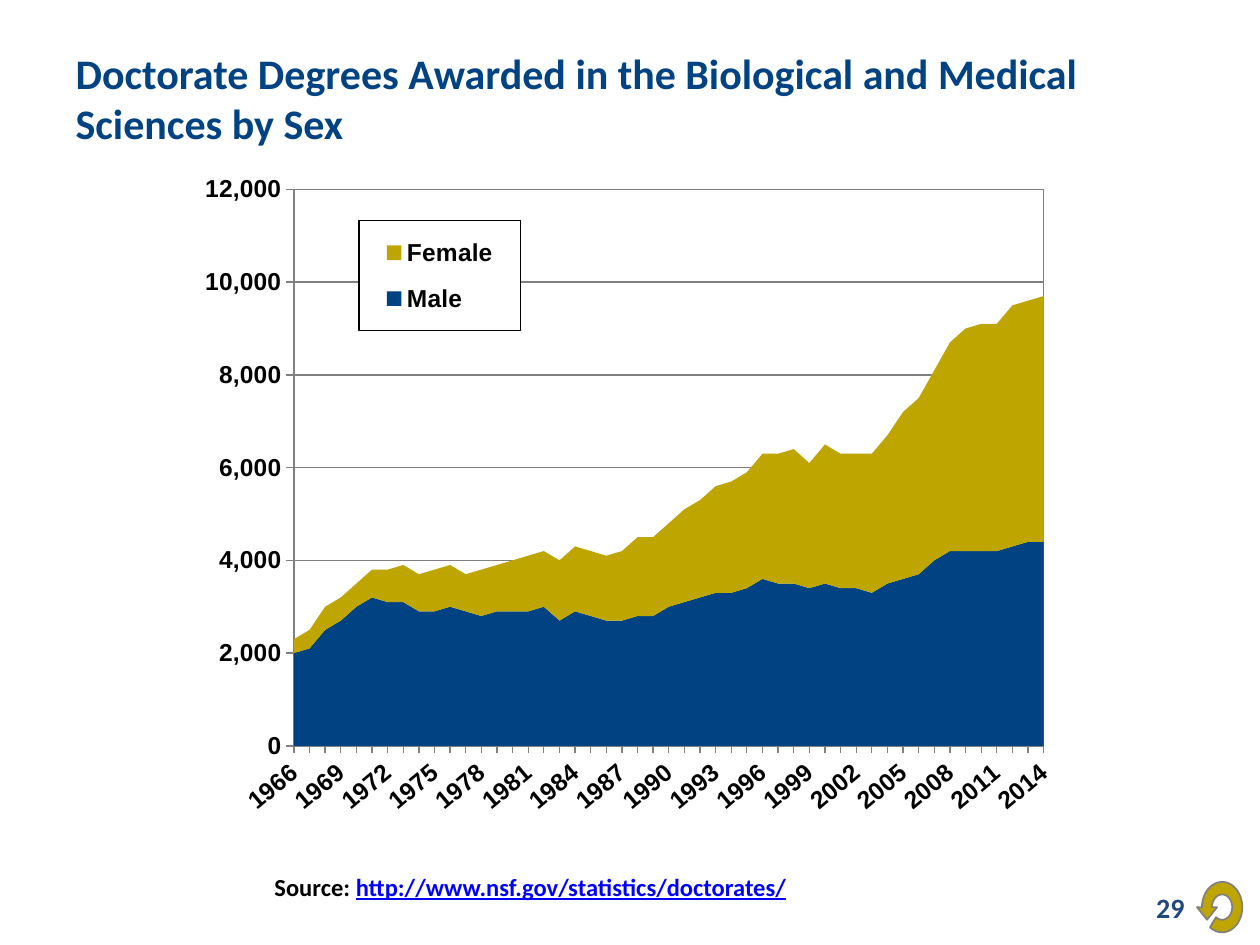
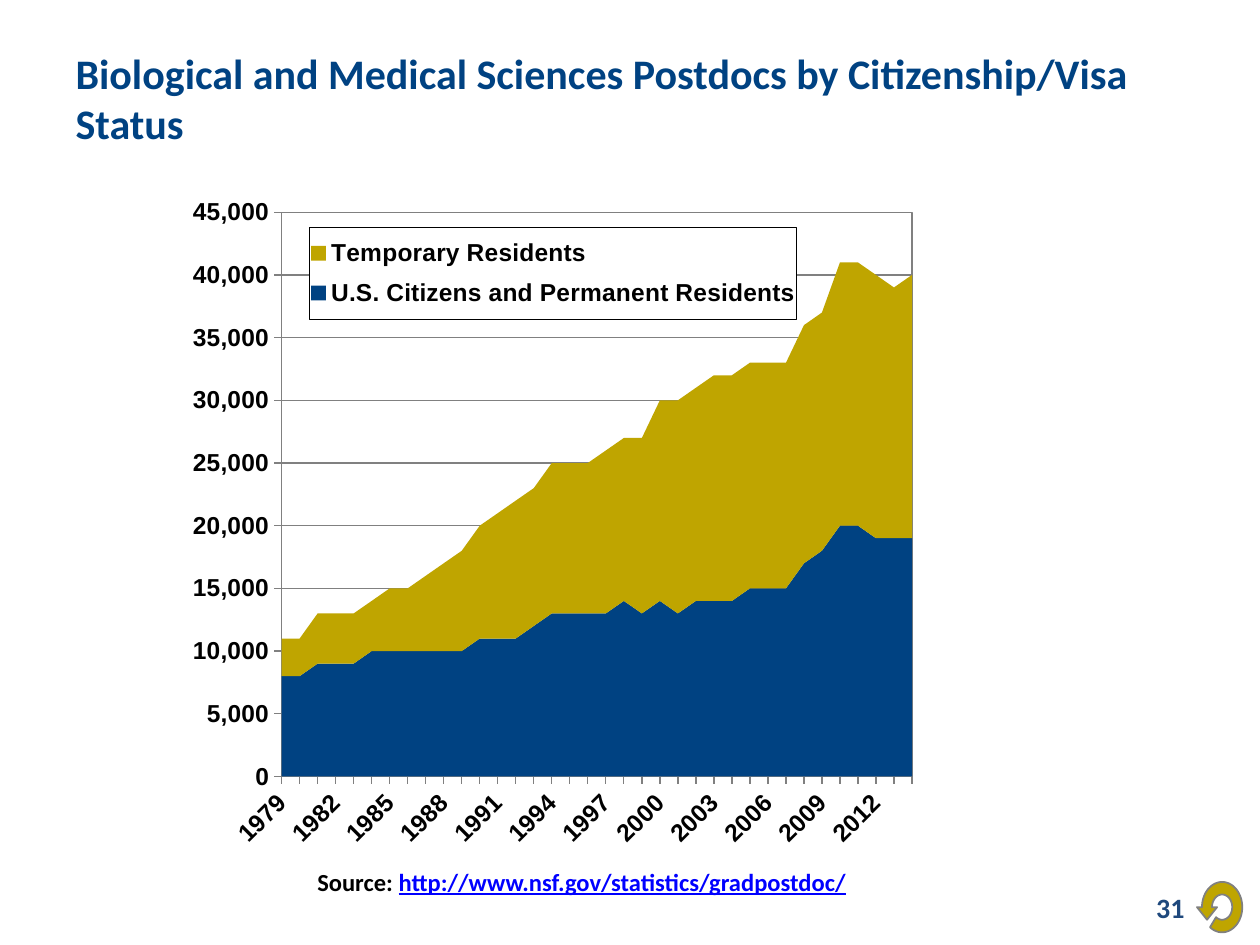
import math
from dataclasses import dataclass

import pptx
import pptx.chart.data
import pptx.dml.color
import pptx.enum.chart
import pptx.enum.text
import pptx.oxml
import pptx.oxml.ns
import pptx.util

Pt = pptx.util.Pt
RGBColor = pptx.dml.color.RGBColor


@dataclass(frozen=True)
class Theme:
    """Colours, fonts and type sizes of the deck."""
    navy: str = "004282"
    gold: str = "BFA500"
    gray: str = "808080"
    black: str = "000000"
    link: str = "0000FF"
    number: str = "1F497D"
    text_font: str = "Calibri"
    chart_font: str = "Arial"
    title_size: int = 24
    number_size: int = 16
    small_size: int = 14


THEME = Theme()
CHART_NAMESPACE = pptx.oxml.ns.nsdecls("c", "a")

SLIDES = [
    dict(
        title="Doctorate Degrees Awarded in the Biological and Medical Sciences by Sex",
        number="29",
        address="http://www.nsf.gov/statistics/doctorates/",
        source_box=(149.76, 494.64, 635.76, 24.48),
        chart_box=(113.76, 95.76, 516.24, 390.24),
        plot=(0.105, 0.032, 0.83, 0.815),
        legend=(0.177, 0.078, 0.179, 0.161),
        label_angle=-40,
        maximum=12000, step=2000,
        years=range(1966, 2015),
        unit=100,
        series={
            "Male": [20, 21, 25, 27, 30, 32, 31, 31, 29, 29, 30, 29, 28, 29, 29, 29, 30,
                     27, 29, 28, 27, 27, 28, 28, 30, 31, 32, 33, 33, 34, 36, 35, 35, 34,
                     35, 34, 34, 33, 35, 36, 37, 40, 42, 42, 42, 42, 43, 44, 44],
            "Female": [3, 4, 5, 5, 5, 6, 7, 8, 8, 9, 9, 8, 10, 10, 11, 12, 12,
                       13, 14, 14, 14, 15, 17, 17, 18, 20, 21, 23, 24, 25, 27, 28, 29, 27,
                       30, 29, 29, 30, 32, 36, 38, 41, 45, 48, 49, 49, 52, 52, 53],
        },
    ),
    dict(
        title="Biological and Medical Sciences Postdocs by Citizenship/Visa Status",
        number="31",
        address="http://www.nsf.gov/statistics/gradpostdoc/",
        source_box=(174.24, 491.76, 635.76, 24.48),
        chart_box=(95.76, 105.84, 732.24, 386.64),
        plot=(0.089, 0.04, 0.492, 0.834),
        legend=(0.111, 0.062, 0.38, 0.136),
        label_angle=-45,
        maximum=45000, step=5000,
        years=range(1979, 2015),
        unit=1000,
        series={
            "U.S. Citizens and Permanent Residents": [
                8, 8, 9, 9, 9, 10, 10, 10, 10, 10, 10, 11, 11, 11, 12, 13, 13, 13,
                13, 14, 13, 14, 13, 14, 14, 14, 15, 15, 15, 17, 18, 20, 20, 19, 19, 19],
            "Temporary Residents": [
                3, 3, 4, 4, 4, 4, 5, 5, 6, 7, 8, 9, 10, 11, 11, 12, 12, 12,
                13, 13, 14, 16, 17, 17, 18, 18, 18, 18, 18, 19, 19, 21, 21, 21, 20, 21],
        },
    ),
]


def write_text(shape, text, size=THEME.small_size, color=THEME.black, underline=False,
               align=pptx.enum.text.PP_ALIGN.LEFT,
               anchor=pptx.enum.text.MSO_ANCHOR.TOP):
    """Append a bold run to the shape's first paragraph and format it."""
    frame = shape.text_frame
    frame.word_wrap = True
    frame.auto_size = pptx.enum.text.MSO_AUTO_SIZE.NONE
    frame.vertical_anchor = anchor
    paragraph = frame.paragraphs[0]
    paragraph.alignment = align
    run = paragraph.add_run()
    run.text = text
    run.font.name = THEME.text_font
    run.font.size = Pt(size)
    run.font.bold = True
    run.font.underline = underline
    run.font.color.rgb = RGBColor.from_string(color)


def chart_layout(box, inner=False):
    """Return a manual layout element from fractions of the chart's size."""
    target = '<c:layoutTarget val="inner"/>' if inner else ""
    modes = '<c:xMode val="edge"/><c:yMode val="edge"/>'
    sizes = "".join(f'<c:{key} val="{value}"/>' for key, value in zip("xywh", box))
    return pptx.oxml.parse_xml(
        f"<c:layout {CHART_NAMESPACE}><c:manualLayout>{target}{modes}{sizes}"
        "</c:manualLayout></c:layout>")


# Return arrow: two arcs about one centre, closed by an arrowhead at the left
center_x, center_y = 698.4, 518.4
angles = [math.radians(180 + 307 * step / 48) for step in range(49)]
inner_arc = [(center_x + 5.76 * math.cos(a), center_y + 7.2 * math.sin(a)) for a in angles]
outer_arc = [(center_x + 11.52 * math.cos(a), center_y + 14.4 * math.sin(a)) for a in angles]
arrowhead = [(684, center_y), (689.76, 525.6), (695.52, center_y)]
arrow_points = [(Pt(x), Pt(y)) for x, y in inner_arc + outer_arc[::-1] + arrowhead]

presentation = pptx.Presentation()
presentation.slide_width = Pt(720)
presentation.slide_height = Pt(540)
title_only = presentation.slide_layouts[5]
middle = pptx.enum.text.MSO_ANCHOR.MIDDLE

for content in SLIDES:
    slide = presentation.slides.add_slide(title_only)
    title = slide.shapes.title
    title.left, title.top, title.width, title.height = map(Pt, (36, 21.6, 648, 68.4))
    write_text(title, content["title"], size=THEME.title_size, color=THEME.navy, anchor=middle)

    # Stacked area chart
    data = pptx.chart.data.CategoryChartData(number_format="#,##0")
    data.categories = [str(year) for year in content["years"]]
    for name, values in content["series"].items():
        data.add_series(name, [value * content["unit"] for value in values])
    chart = slide.shapes.add_chart(
        pptx.enum.chart.XL_CHART_TYPE.AREA_STACKED,
        *map(Pt, content["chart_box"]), data).chart
    chart.has_title = False
    chart.font.name = THEME.chart_font
    chart.font.size = Pt(THEME.small_size)
    chart.font.bold = True
    chart.font.color.rgb = RGBColor.from_string(THEME.black)
    plot = chart.plots[0]
    plot.vary_by_categories = False
    for series, color in zip(plot.series, (THEME.navy, THEME.gold)):
        series.format.fill.solid()
        series.format.fill.fore_color.rgb = RGBColor.from_string(color)
        series.format.line.fill.background()

    # Axes
    category_axis, value_axis = chart.category_axis, chart.value_axis
    value_axis.minimum_scale = 0
    value_axis.maximum_scale = content["maximum"]
    value_axis.major_unit = content["step"]
    value_axis.has_major_gridlines = True
    value_axis.tick_labels.number_format = "#,##0"
    value_axis.tick_labels.number_format_is_linked = False
    category_axis.has_major_gridlines = False
    for axis in (category_axis, value_axis):
        axis.major_tick_mark = pptx.enum.chart.XL_TICK_MARK.OUTSIDE
        axis.minor_tick_mark = pptx.enum.chart.XL_TICK_MARK.NONE
        axis.tick_labels.font.name = THEME.chart_font
        axis.tick_labels.font.size = Pt(THEME.small_size)
        axis.tick_labels.font.bold = True
    for line in (category_axis.format.line, value_axis.format.line,
                 value_axis.major_gridlines.format.line):
        line.color.rgb = RGBColor.from_string(THEME.gray)
        line.width = Pt(0.75)
    category_xml = category_axis._element
    body = category_xml.xpath("c:txPr/a:bodyPr")[0]
    body.set("rot", str(content["label_angle"] * 60000))
    body.set("vert", "horz")
    for tag, interval in (("tickLblSkip", 3), ("tickMarkSkip", 1)):
        category_xml.xpath("c:noMultiLvlLbl")[0].addprevious(pptx.oxml.parse_xml(
            f'<c:{tag} {CHART_NAMESPACE} val="{interval}"/>'))
    for crossing in value_axis._element.xpath("c:crossBetween"):
        crossing.set("val", "midCat")

    # Plot frame and boxed legend
    plot_area = chart._chartSpace.xpath("c:chart/c:plotArea")[0]
    for old_layout in plot_area.xpath("c:layout"):
        plot_area.remove(old_layout)
    plot_area.insert(0, chart_layout(content["plot"], inner=True))
    plot_area.append(pptx.oxml.parse_xml(
        f'<c:spPr {CHART_NAMESPACE}><a:noFill/><a:ln w="9525"><a:solidFill>'
        f'<a:srgbClr val="{THEME.gray}"/></a:solidFill></a:ln></c:spPr>'))
    chart.has_legend = True
    legend = chart.legend
    legend.position = pptx.enum.chart.XL_LEGEND_POSITION.RIGHT
    legend.include_in_layout = False
    legend.font.name = THEME.chart_font
    legend.font.size = Pt(THEME.small_size)
    legend.font.bold = True
    legend_xml = legend._element
    for old_layout in legend_xml.xpath("c:layout"):
        legend_xml.remove(old_layout)
    overlay = legend_xml.xpath("c:overlay")[0]
    overlay.addprevious(chart_layout(content["legend"]))
    overlay.addnext(pptx.oxml.parse_xml(
        f'<c:spPr {CHART_NAMESPACE}><a:solidFill><a:srgbClr val="FFFFFF"/></a:solidFill>'
        f'<a:ln w="9525"><a:solidFill><a:srgbClr val="{THEME.black}"/></a:solidFill>'
        '</a:ln></c:spPr>'))

    # Source line, slide number and return arrow
    source = slide.shapes.add_textbox(*map(Pt, content["source_box"]))
    write_text(source, "Source: ")
    write_text(source, content["address"], color=THEME.link, underline=True)
    number = slide.shapes.add_textbox(*map(Pt, (516.24, 504, 167.76, 28.8)))
    write_text(number, content["number"], size=THEME.number_size, color=THEME.number,
               align=pptx.enum.text.PP_ALIGN.RIGHT, anchor=middle)
    builder = slide.shapes.build_freeform(*arrow_points[0])
    builder.add_line_segments(arrow_points[1:], close=True)
    arrow = builder.convert_to_shape()
    arrow.shadow.inherit = False
    arrow.fill.solid()
    arrow.fill.fore_color.rgb = RGBColor.from_string(THEME.gold)
    arrow.line.color.rgb = RGBColor.from_string(THEME.gray)
    arrow.line.width = Pt(1)

presentation.save("out.pptx")
